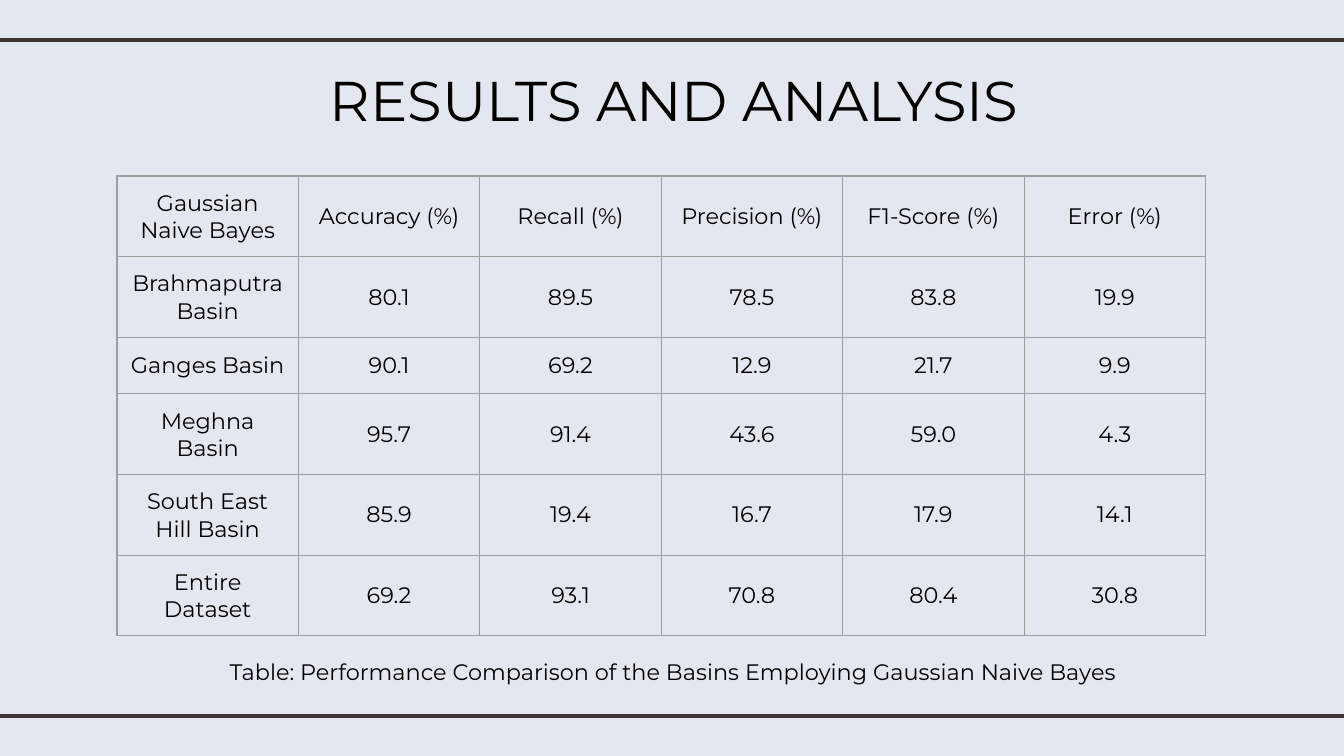
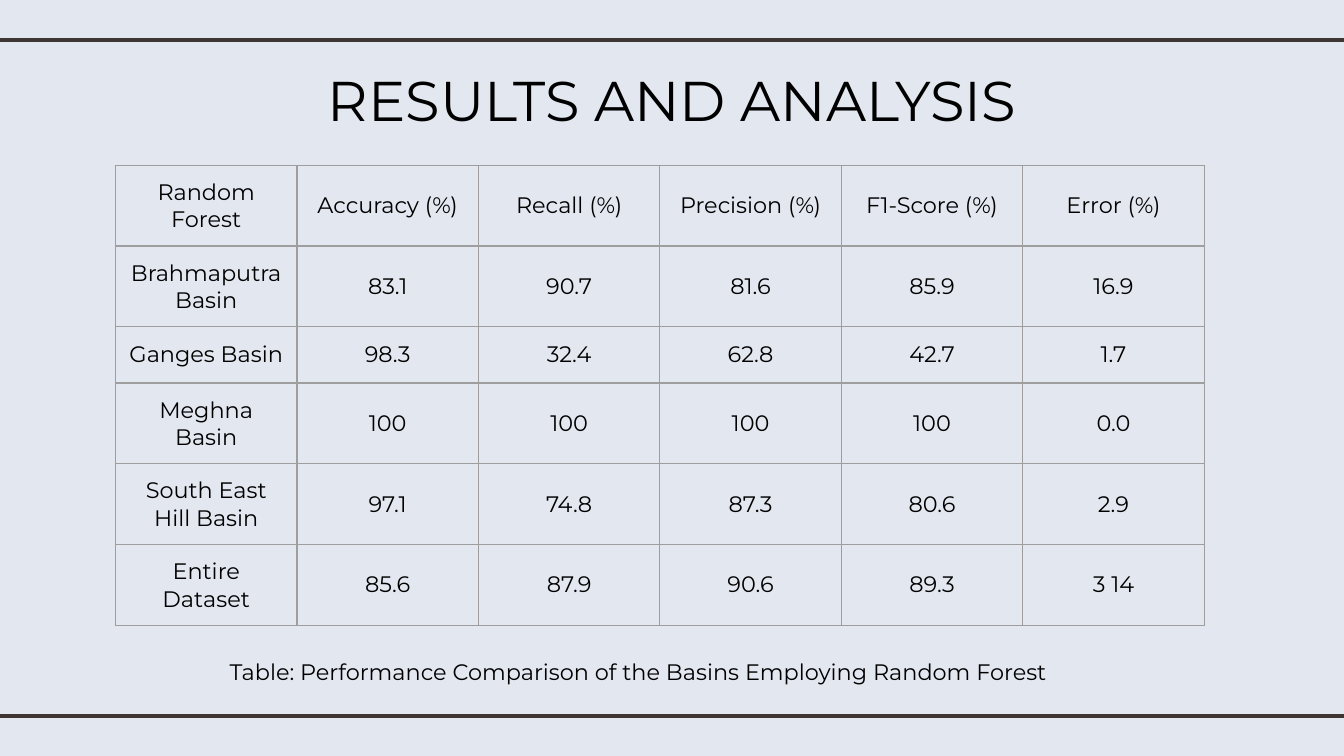
from lxml.etree import SubElement as Sub
from pptx import Presentation
from pptx.dml.color import RGBColor
from pptx.enum.shapes import MSO_CONNECTOR as Link
from pptx.enum.text import MSO_ANCHOR as Anchor, MSO_AUTO_SIZE as Fit, PP_ALIGN as Align
from pptx.oxml.ns import qn
from pptx.util import Inches, Pt

FONT = "Montserrat"
BACK, RULE, GRID, INK = "E3E7F0", "3F3533", "9E9E9E", "000000"
PAD = 0.1
COL, ROW = 1.35, 0.42
SCORES = ["Accuracy (%)", "Recall (%)", "Precision (%)", "F1-Score (%)", "Error (%)"]
BASINS = ["Brahmaputra Basin", "Ganges Basin", "Meghna Basin",
          "South East Hill Basin", "Entire Dataset"]

# Each model: name, title width, table left and top, one row of scores per basin
MODELS = [
    ("Gaussian Naive Bayes", 6.01, 0.87, 1.31, [
        ["80.1", "89.5", "78.5", "83.8", "19.9"],
        ["90.1", "69.2", "12.9", "21.7", "9.9"],
        ["95.7", "91.4", "43.6", "59.0", "4.3"],
        ["85.9", "19.4", "16.7", "17.9", "14.1"],
        ["69.2", "93.1", "70.8", "80.4", "30.8"],
    ]),
    ("Random Forest", 5.98, 0.86, 1.23, [
        ["83.1", "90.7", "81.6", "85.9", "16.9"],
        ["98.3", "32.4", "62.8", "42.7", "1.7"],
        ["100", "100", "100", "100", "0.0"],
        ["97.1", "74.8", "87.3", "80.6", "2.9"],
        ["85.6", "87.9", "90.6", "89.3", "3 14"],
    ]),
]


def color(code):
    return RGBColor.from_string(code)


def pad(box):
    """Give a text frame or a table cell equal margins."""
    box.margin_left = box.margin_right = Inches(PAD)
    box.margin_top = box.margin_bottom = Inches(PAD)


def write(frame, text, size, align):
    frame.text = text
    para = frame.paragraphs[0]
    para.alignment = align
    font = para.runs[0].font
    font.name, font.size = FONT, Pt(size)
    font.color.rgb = color(INK)


def set_box(shape, left, top, width, height, text, size, align):
    """Place a text shape and fill it."""
    shape.left, shape.top = Inches(left), Inches(top)
    shape.width, shape.height = Inches(width), Inches(height)
    frame = shape.text_frame
    frame.word_wrap = True
    frame.auto_size = Fit.SHAPE_TO_FIT_TEXT
    frame.vertical_anchor = Anchor.TOP
    pad(frame)
    write(frame, text, size, align)


def add_rule(slide, y):
    line = slide.shapes.add_connector(
        Link.STRAIGHT, Inches(-0.08), Inches(y), Inches(10.08), Inches(y))
    line.line.color.rgb = color(RULE)
    line.line.width = Pt(2.25)
    Sub(line._element.spPr, qn("a:effectLst"))


def add_title(slide, width):
    set_box(slide.shapes.title, 2.01, 0.39, width, 0.71,
            "RESULTS AND ANALYSIS", 30, Align.CENTER)


def add_note(slide, model):
    box = slide.shapes.add_textbox(0, 0, 0, 0)
    text = f"Table: Performance Comparison of the Basins Employing {model}"
    set_box(box, 1.61, 4.8, 7.4, 0.4, text, 12, Align.LEFT)


def set_edges(cell):
    """Draw the four cell borders, which come before the cell's fill."""
    props = cell._tc.get_or_add_tcPr()
    for spot, side in enumerate(["lnL", "lnR", "lnT", "lnB"]):
        edge = Sub(props, qn(f"a:{side}"), w=str(Pt(0.75)))
        fill = Sub(edge, qn("a:solidFill"))
        Sub(fill, qn("a:srgbClr"), val=GRID)
        props.insert(spot, edge)


def add_scores(slide, model, left, top, scores):
    rows = [[model, *SCORES]]
    rows += [[basin, *line] for basin, line in zip(BASINS, scores)]
    high, wide = len(rows), len(rows[0])
    table = slide.shapes.add_table(
        high, wide, Inches(left), Inches(top),
        Inches(COL * wide), Inches(ROW * high)).table
    table.first_row = table.horz_banding = False
    for col in table.columns:
        col.width = Inches(COL)
    for row, line in zip(table.rows, rows):
        row.height = Inches(ROW)
        for cell, text in zip(row.cells, line):
            pad(cell)
            cell.vertical_anchor = Anchor.MIDDLE
            cell.fill.background()
            set_edges(cell)
            write(cell.text_frame, text, 12, Align.CENTER)


def main():
    # Widescreen page, 16 to 9
    deck = Presentation()
    deck.slide_width = Inches(10)
    deck.slide_height = Inches(10 * 9 / 16)

    # Shared background
    fill = deck.slide_master.background.fill
    fill.solid()
    fill.fore_color.rgb = color(BACK)

    # One slide per model
    for model, width, left, top, scores in MODELS:
        slide = deck.slides.add_slide(deck.slide_layouts[5])
        for y in (5.33, 0.3):
            add_rule(slide, y)
        add_title(slide, width)
        add_scores(slide, model, left, top, scores)
        add_note(slide, model)

    deck.save("out.pptx")


if __name__ == "__main__":
    main()
